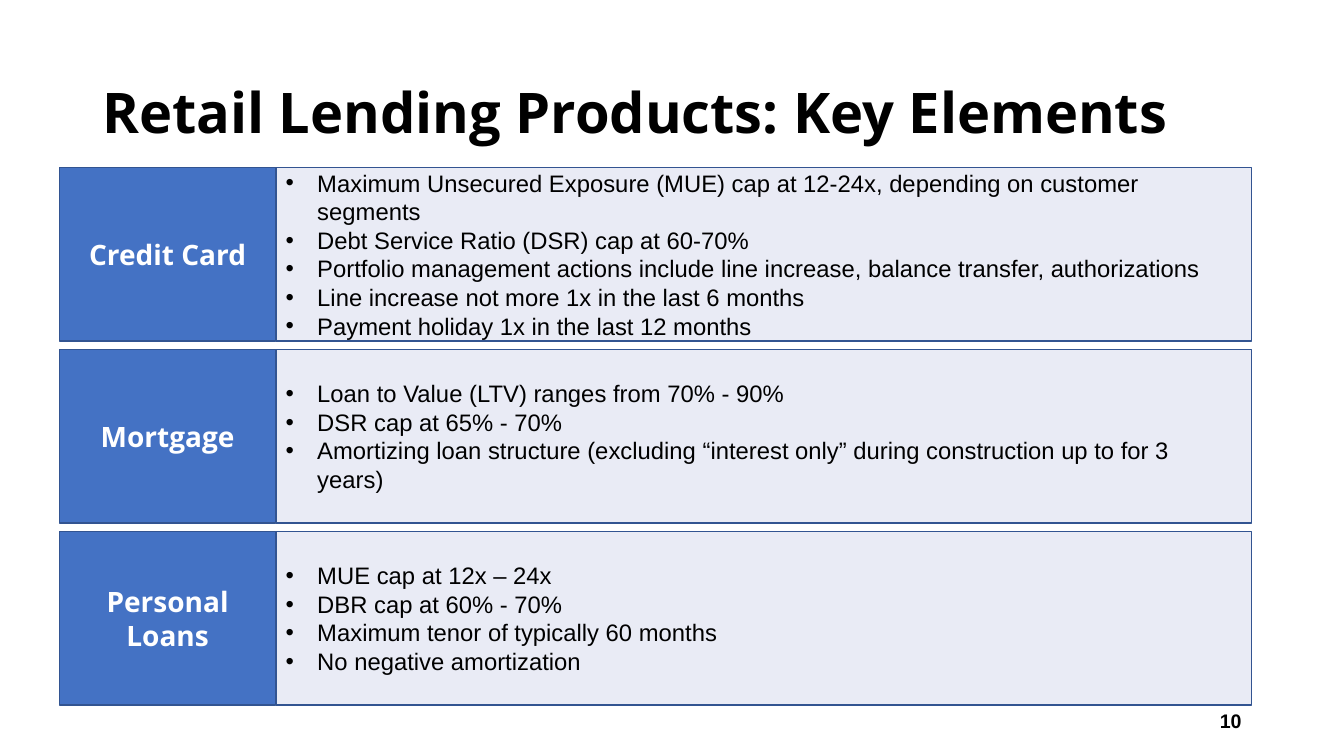
from dataclasses import dataclass

from lxml.etree import SubElement
from pptx import Presentation
from pptx.dml.color import RGBColor
from pptx.enum.shapes import MSO_SHAPE
from pptx.enum.text import MSO_ANCHOR, PP_ALIGN
from pptx.oxml.ns import qn
from pptx.util import Pt


@dataclass(frozen=True)
class Theme:
    heading: str = "Open Sans"
    body: str = "Arial"
    ink: str = "000000"
    white: str = "FFFFFF"
    label_fill: str = "4472C4"
    body_fill: str = "E9EBF5"
    border: str = "325491"
    title_size: float = 40
    label_size: float = 20
    body_size: float = 17
    number_size: float = 14


def add_text(tf, lines, *, font, size, color, bold=False, align=PP_ALIGN.LEFT,
             anchor=MSO_ANCHOR.MIDDLE, spacing=None, bullet_indent=None):
    tf.word_wrap = True
    tf.vertical_anchor = anchor
    for i, line in enumerate(lines):
        p = tf.paragraphs[0] if i == 0 else tf.add_paragraph()
        p.alignment = align
        if spacing:
            p.line_spacing = spacing
        r = p.add_run()
        r.text = line
        r.font.name = font
        r.font.size = Pt(size)
        r.font.bold = bold
        r.font.color.rgb = RGBColor.from_string(color)
        if bullet_indent:
            pPr = p._p.get_or_add_pPr()
            pPr.set("marL", str(Pt(bullet_indent)))
            pPr.set("indent", str(-Pt(bullet_indent)))
            SubElement(pPr, qn("a:buFont")).set("typeface", "Arial")
            SubElement(pPr, qn("a:buChar")).set("char", "•")


class SlideBuilder:
    def __init__(self, slide, theme):
        self.s = slide
        self.theme = theme

    def text(self, box, line, **fmt):
        sp = self.s.shapes.add_textbox(*map(Pt, box))
        add_text(sp.text_frame, [line], color=self.theme.ink, bold=True, **fmt)

    def panel(self, box, fill, lines, **fmt):
        sp = self.s.shapes.add_shape(MSO_SHAPE.RECTANGLE, *map(Pt, box))
        sp.shadow.inherit = False
        sp.fill.solid()
        sp.fill.fore_color.rgb = RGBColor.from_string(fill)
        sp.line.color.rgb = RGBColor.from_string(self.theme.border)
        sp.line.width = Pt(1)
        add_text(sp.text_frame, lines, **fmt)

    def product(self, top, name, points):
        t = self.theme
        left, label_width, body_width, height = 42.5, 154.5, 697, 124
        self.panel((left, top, label_width, height), t.label_fill, [name],
                   font=t.heading, size=t.label_size, color=t.white,
                   bold=True, align=PP_ALIGN.CENTER)
        self.panel((left + label_width, top, body_width, height), t.body_fill,
                   points, font=t.body, size=t.body_size, color=t.ink,
                   bullet_indent=22.5)


PRODUCTS = {
    "Credit Card": [
        "Maximum Unsecured Exposure (MUE) cap at 12-24x, depending on customer segments",
        "Debt Service Ratio (DSR) cap at 60-70%",
        "Portfolio management actions include line increase, balance transfer, authorizations",
        "Line increase not more 1x in the last 6 months",
        "Payment holiday 1x in the last 12 months",
    ],
    "Mortgage": [
        "Loan to Value (LTV) ranges from 70% - 90%",
        "DSR cap at 65% - 70%",
        "Amortizing loan structure (excluding “interest only” during construction up to for 3 years)",
    ],
    "Personal Loans": [
        "MUE cap at 12x – 24x",
        "DBR cap at 60% - 70%",
        "Maximum tenor of typically 60 months",
        "No negative amortization",
    ],
}


def main():
    prs = Presentation()
    prs.slide_width, prs.slide_height = Pt(960), Pt(540)
    theme = Theme()
    s = SlideBuilder(prs.slides.add_slide(prs.slide_layouts[6]), theme)

    # Title and page number
    s.text((66, 57.5, 828, 60), "Retail Lending Products: Key Elements",
           font=theme.heading, size=theme.title_size, spacing=0.9,
           anchor=MSO_ANCHOR.TOP)
    s.text((678, 500.5, 216, 28.75), "10", font=theme.body,
           size=theme.number_size, align=PP_ALIGN.RIGHT)

    # One row per product
    first_top, pitch = 119.5, 130
    for i, (name, points) in enumerate(PRODUCTS.items()):
        s.product(first_top + i * pitch, name, points)

    prs.save("out.pptx")


if __name__ == "__main__":
    main()
